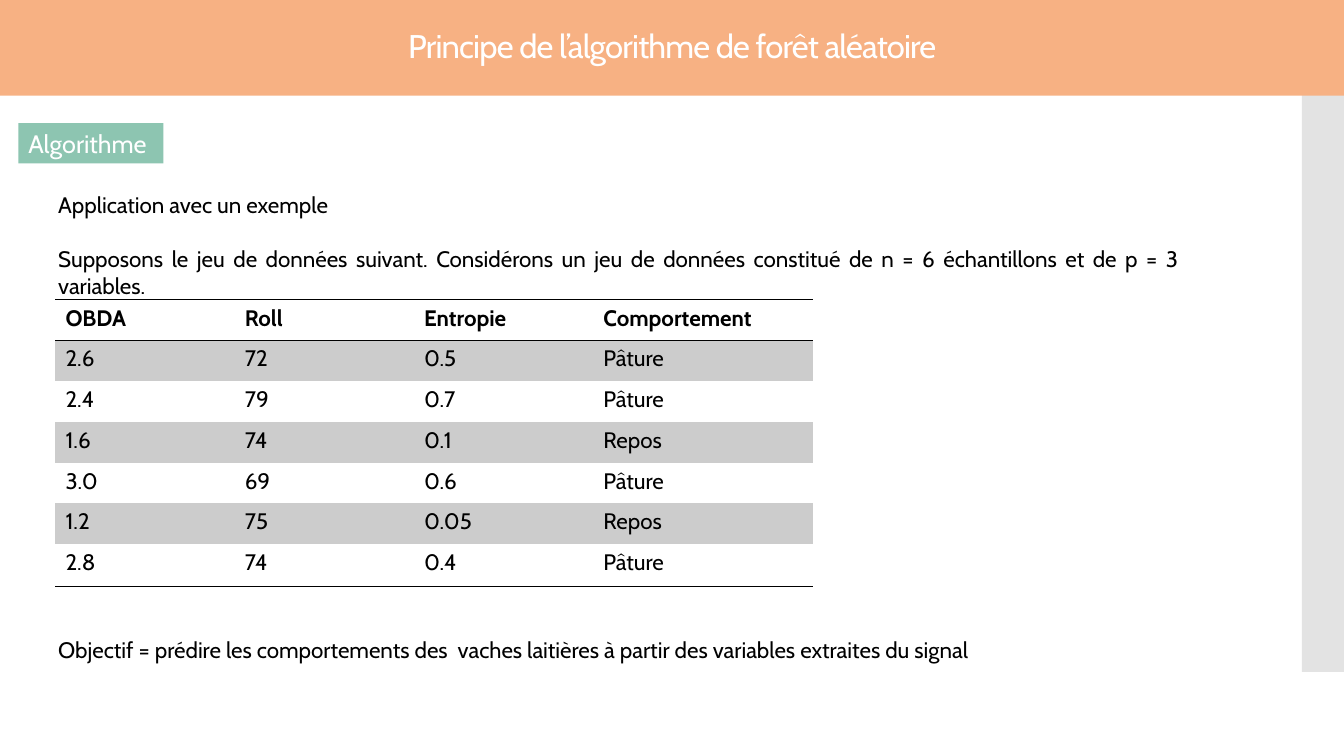
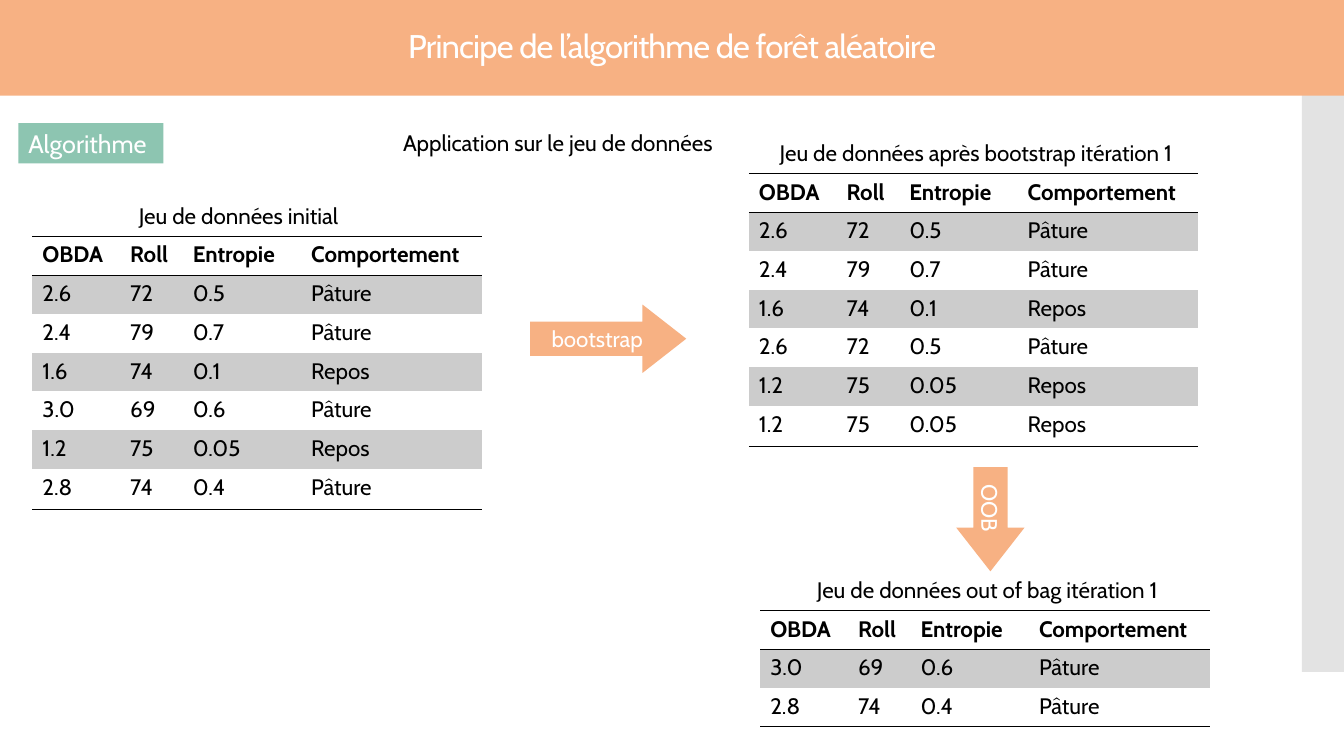
import dataclasses
import typing

import lxml.etree
import pptx
import pptx.dml.color
import pptx.enum.shapes
import pptx.enum.text
import pptx.oxml.ns
import pptx.presentation
import pptx.shapes.autoshape
import pptx.slide
import pptx.table
import pptx.text.text
import pptx.util

ORANGE = pptx.dml.color.RGBColor(0xF7, 0xB1, 0x83)
GREEN = pptx.dml.color.RGBColor(0x8D, 0xC5, 0xB1)
SIDE_GREY = pptx.dml.color.RGBColor(0xE3, 0xE3, 0xE3)
ROW_GREY = pptx.dml.color.RGBColor(0xCC, 0xCC, 0xCC)
WHITE = pptx.dml.color.RGBColor(0xFF, 0xFF, 0xFF)
BLACK = pptx.dml.color.RGBColor(0x00, 0x00, 0x00)

FONT = "Cabin"
BODY_SIZE = 16
LABEL_SIZE = 18
TITLE_SIZE = 23.4
TITLE_SPACING = -60  # hundredths of a point
PARAGRAPH_GAP = 19.4
PLAIN_TABLE_STYLE = "{2D5ABB26-0587-4C30-8999-92F81FD0307C}"

COLUMNS, ROWS = 160, 90
WIDTH, HEIGHT = pptx.util.Inches(13.33), pptx.util.Inches(7.5)
TEXT_HEIGHT = 4.45
CAPTION_WIDTH = 52.2
CAPTION_RISE = 4.65

RECTANGLE = pptx.enum.shapes.MSO_SHAPE.RECTANGLE
RIGHT_ARROW = pptx.enum.shapes.MSO_SHAPE.RIGHT_ARROW
LEFT = pptx.enum.text.PP_ALIGN.LEFT
CENTER = pptx.enum.text.PP_ALIGN.CENTER
JUSTIFY = pptx.enum.text.PP_ALIGN.JUSTIFY
MIDDLE = pptx.enum.text.MSO_ANCHOR.MIDDLE

TITLE = "Principe de l’algorithme de forêt aléatoire"
HEADINGS = ("OBDA", "Roll", "Entropie", "Comportement")
SAMPLES = (
    ("2.6", "72", "0.5", "Pâture"),
    ("2.4", "79", "0.7", "Pâture"),
    ("1.6", "74", "0.1", "Repos"),
    ("3.0", "69", "0.6", "Pâture"),
    ("1.2", "75", "0.05", "Repos"),
    ("2.8", "74", "0.4", "Pâture"),
)
DRAWN = (0, 1, 2, 0, 4, 4)
BOOTSTRAP = tuple(SAMPLES[index] for index in DRAWN)
OUT_OF_BAG = tuple(
    sample for index, sample in enumerate(SAMPLES) if index not in DRAWN
)


class Box(typing.NamedTuple):
    """A place on the grid, in columns and rows."""

    left: float
    top: float
    width: float
    height: float

    def lengths(self) -> tuple[int, int, int, int]:
        return (across(self.left), down(self.top),
                across(self.width), down(self.height))


@dataclasses.dataclass(frozen=True)
class DataTable:
    left: float
    top: float
    samples: tuple[tuple[str, ...], ...]
    widths: tuple[float, ...] = (10.45, 7.45, 14.1, 21.5)
    row_height: float = 4.61
    last_height: float = 4.84
    caption: str = ""
    caption_shift: float = 0.95


@dataclasses.dataclass(frozen=True)
class Arrow:
    text: str
    box: Box
    rotation: float = 0


EXAMPLE_TABLE = DataTable(
    6.6, 35.65, SAMPLES, (21.35, 21.35, 21.35, 26.1), 4.86, 5.04
)
STEP_TABLES = (
    DataTable(3.85, 28.15, SAMPLES,
              caption="Jeu de données initial", caption_shift=-1.55),
    DataTable(89.15, 20.65, BOOTSTRAP,
              caption="Jeu de données après bootstrap itération 1"),
    DataTable(90.5, 72.7, OUT_OF_BAG, last_height=4.61,
              caption="Jeu de données out of bag itération 1"),
)
ARROWS = (
    Arrow("bootstrap", Box(63.1, 36.25, 18.6, 8.15)),
    Arrow("OOB", Box(111.7, 57.75, 12.4, 8.15), 90),
)


def across(columns: float) -> int:
    return round(WIDTH * columns / COLUMNS)


def down(rows: float) -> int:
    return round(HEIGHT * rows / ROWS)


def add_run(
    paragraph: pptx.text.text._Paragraph,
    text: str,
    size: float = BODY_SIZE,
    color: pptx.dml.color.RGBColor = BLACK,
    bold: bool = False,
) -> pptx.text.text._Run:
    run = paragraph.add_run()
    run.text = text
    run.font.name = FONT
    run.font.size = pptx.util.Pt(size)
    run.font.color.rgb = color
    run.font.bold = bold
    return run


def add_filled_shape(
    slide: pptx.slide.Slide,
    kind: pptx.enum.shapes.MSO_SHAPE,
    box: Box,
    color: pptx.dml.color.RGBColor,
) -> pptx.shapes.autoshape.Shape:
    shape = slide.shapes.add_shape(kind, *box.lengths())
    shape.shadow.inherit = False
    shape.fill.solid()
    shape.fill.fore_color.rgb = color
    shape.line.fill.background()
    return shape


def add_text(
    slide: pptx.slide.Slide,
    box: Box,
    *texts: str,
    alignment: pptx.enum.text.PP_ALIGN = LEFT,
) -> None:
    frame = slide.shapes.add_textbox(*box.lengths()).text_frame
    frame.word_wrap = True
    for index, text in enumerate(texts):
        paragraph = frame.add_paragraph() if index else frame.paragraphs[0]
        paragraph.alignment = alignment
        if index:
            paragraph.space_before = pptx.util.Pt(PARAGRAPH_GAP)
        add_run(paragraph, text)


def add_rule(cell: pptx.table._Cell, side: str) -> None:
    """Draw a thin black border on the side named by its XML tag."""
    qualified = pptx.oxml.ns.qn
    properties = cell._tc.get_or_add_tcPr()
    line = lxml.etree.SubElement(
        properties, qualified(side), w=str(pptx.util.Pt(1))
    )
    fill = lxml.etree.SubElement(line, qualified("a:solidFill"))
    lxml.etree.SubElement(fill, qualified("a:srgbClr"), val=str(BLACK))


def add_data_table(slide: pptx.slide.Slide, data: DataTable) -> None:
    records = (HEADINGS, *data.samples)
    last = len(records) - 1
    heights = [data.row_height] * last + [data.last_height]
    box = Box(data.left, data.top, sum(data.widths), sum(heights))
    table = slide.shapes.add_table(
        len(records), len(HEADINGS), *box.lengths()
    ).table
    table.first_row = table.horz_banding = False
    style = table._tbl.tblPr.find(pptx.oxml.ns.qn("a:tableStyleId"))
    style.text = PLAIN_TABLE_STYLE
    for column, width in zip(table.columns, data.widths):
        column.width = across(width)
    for index, (row, height) in enumerate(zip(table.rows, heights)):
        row.height = down(height)
        for cell, text in zip(row.cells, records[index]):
            add_run(cell.text_frame.paragraphs[0], text, bold=index == 0)
            if index == 0:
                add_rule(cell, "a:lnT")
            if index in (0, last):
                add_rule(cell, "a:lnB")
            if index % 2:
                cell.fill.solid()
                cell.fill.fore_color.rgb = ROW_GREY
            else:
                cell.fill.background()
    if data.caption:
        caption_box = Box(data.left + data.caption_shift,
                          data.top - CAPTION_RISE, CAPTION_WIDTH, TEXT_HEIGHT)
        add_text(slide, caption_box, data.caption, alignment=CENTER)


def add_arrow(slide: pptx.slide.Slide, arrow: Arrow) -> None:
    shape = add_filled_shape(slide, RIGHT_ARROW, arrow.box, ORANGE)
    shape.adjustments[1] = 0.64
    shape.rotation = arrow.rotation
    shape.text_frame.vertical_anchor = MIDDLE
    paragraph = shape.text_frame.paragraphs[0]
    paragraph.alignment = CENTER
    add_run(paragraph, arrow.text, color=WHITE)


def add_framed_slide(
    presentation: pptx.presentation.Presentation,
) -> pptx.slide.Slide:
    """Add a blank slide with the title band, side band and section label."""
    slide = presentation.slides.add_slide(presentation.slide_layouts[6])
    add_filled_shape(slide, RECTANGLE, Box(155, 10, 5, 70), SIDE_GREY)

    band = add_filled_shape(slide, RECTANGLE, Box(0, 0, COLUMNS, 11.4), ORANGE)
    band.text_frame.vertical_anchor = MIDDLE
    title = band.text_frame.paragraphs[0]
    title.alignment = CENTER
    title.line_spacing = 0.9
    run = add_run(title, TITLE, TITLE_SIZE, WHITE)
    run._r.get_or_add_rPr().set("spc", str(TITLE_SPACING))

    label = add_filled_shape(
        slide, RECTANGLE, Box(2.2, 14.65, 17.25, 4.8), GREEN
    )
    label.text_frame.word_wrap = False
    label.text_frame.vertical_anchor = MIDDLE
    paragraph = label.text_frame.paragraphs[0]
    paragraph.alignment = LEFT
    add_run(paragraph, "Algorithme", LABEL_SIZE, WHITE)
    return slide


def add_example_slide(
    presentation: pptx.presentation.Presentation,
) -> None:
    slide = add_framed_slide(presentation)
    add_text(
        slide,
        Box(5.75, 22.2, 135.85, 10.9),
        "Application avec un exemple",
        "Supposons le jeu de données suivant. Considérons un jeu de données "
        "constitué de n = 6 échantillons et de p = 3 variables.",
        alignment=JUSTIFY,
    )
    add_data_table(slide, EXAMPLE_TABLE)
    add_text(
        slide,
        Box(5.75, 75.1, 132.5, TEXT_HEIGHT),
        "Objectif = prédire les comportements des  vaches laitières "
        "à partir des variables extraites du signal",
    )


def add_bootstrap_slide(
    presentation: pptx.presentation.Presentation,
) -> None:
    slide = add_framed_slide(presentation)
    add_text(slide, Box(46.8, 14.75, 45.8, TEXT_HEIGHT),
             "Application sur le jeu de données")
    for data in STEP_TABLES:
        add_data_table(slide, data)
    for arrow in ARROWS:
        add_arrow(slide, arrow)


def main() -> None:
    presentation = pptx.Presentation()
    presentation.slide_width, presentation.slide_height = WIDTH, HEIGHT
    add_example_slide(presentation)
    add_bootstrap_slide(presentation)
    presentation.save("out.pptx")


if __name__ == "__main__":
    main()
